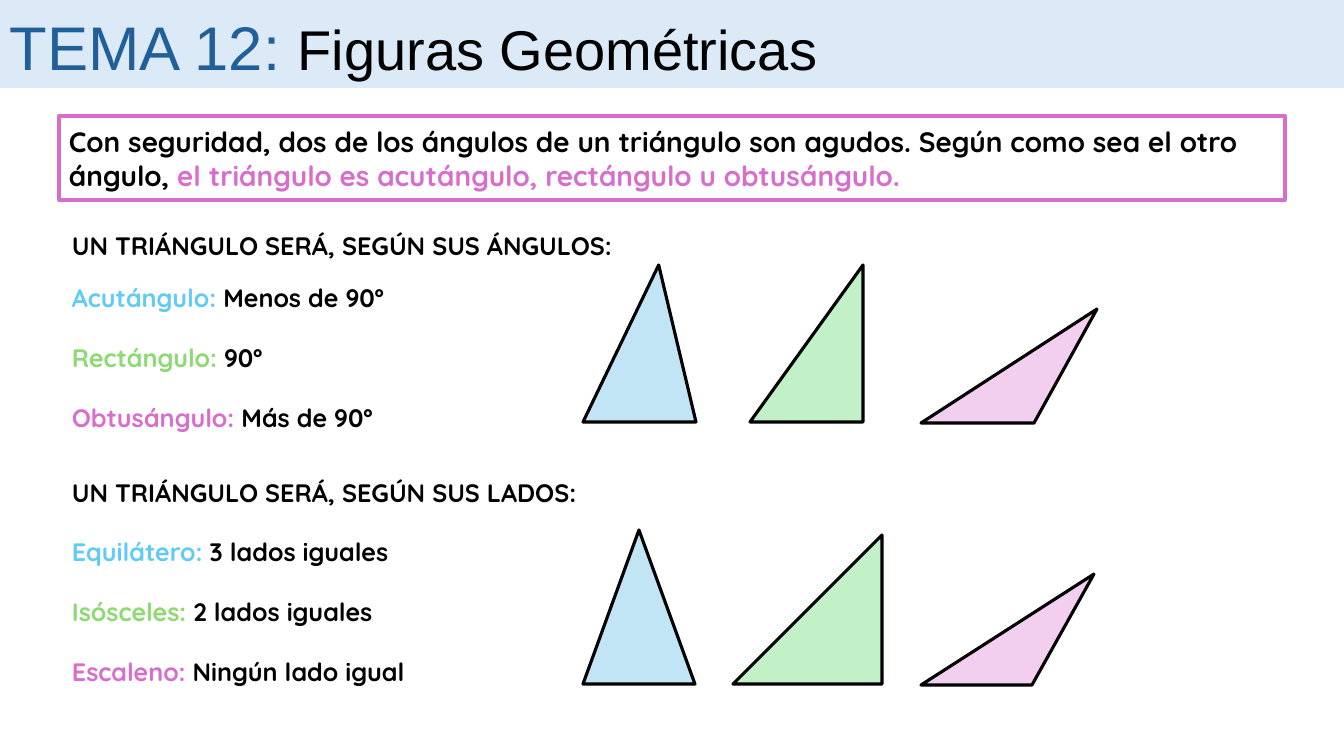
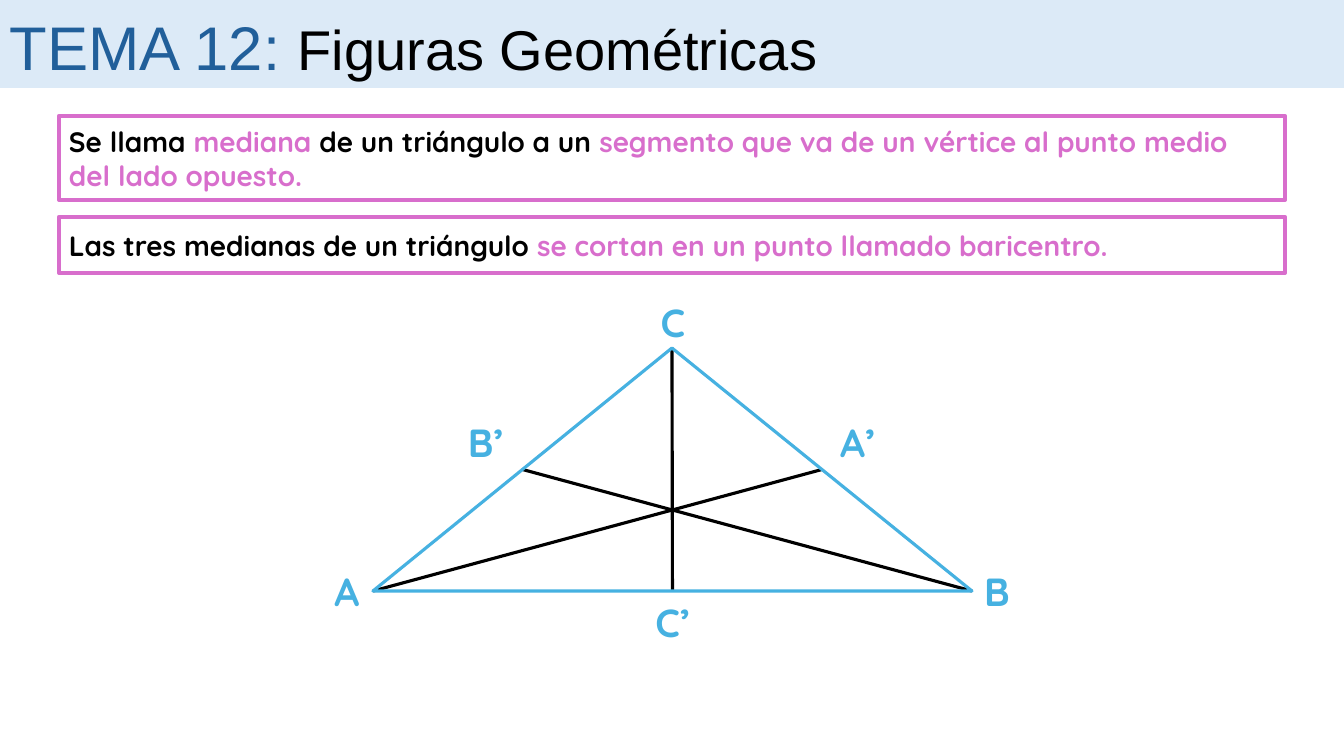
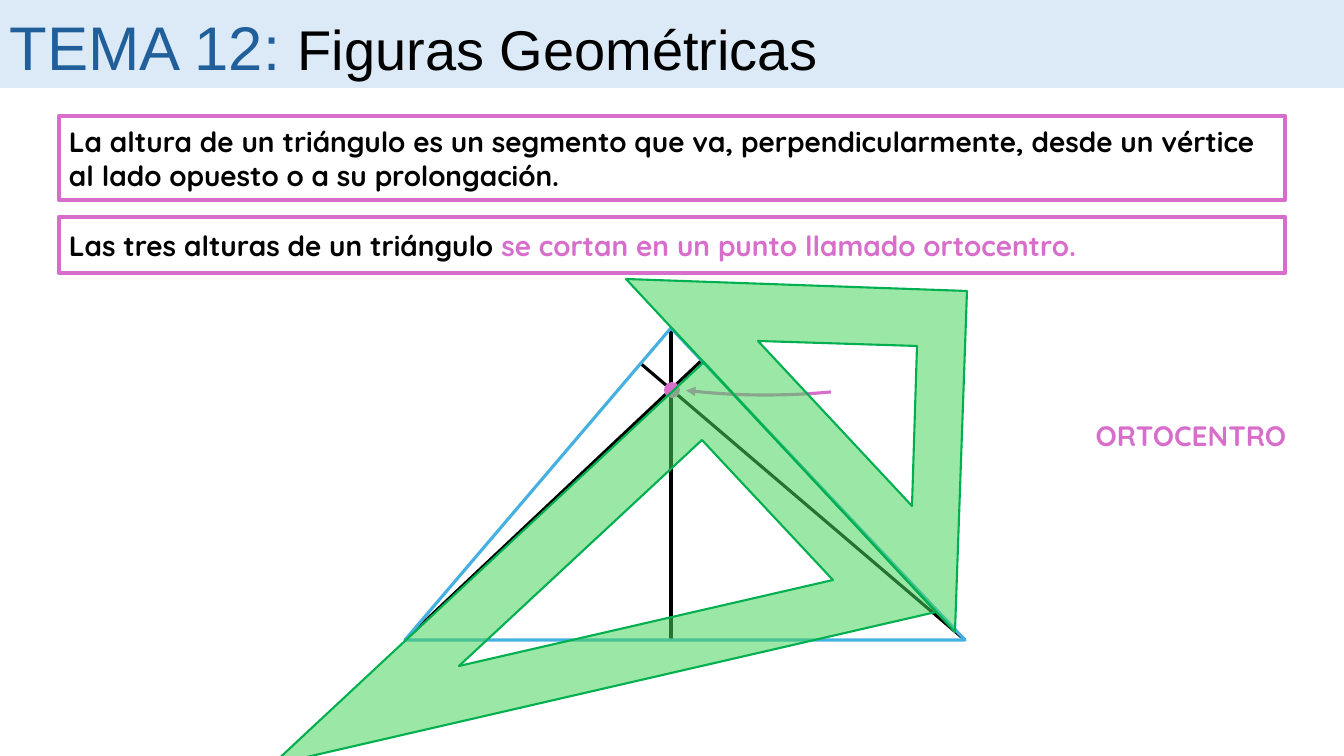
from lxml import etree
from pptx import Presentation
from pptx.dml.color import RGBColor
from pptx.enum.shapes import MSO_CONNECTOR, MSO_SHAPE
from pptx.enum.text import MSO_ANCHOR, PP_ALIGN
from pptx.oxml.ns import qn
from pptx.util import Pt

STRAIGHT = MSO_CONNECTOR.STRAIGHT
RECTANGLE, TRIANGLE = MSO_SHAPE.RECTANGLE, MSO_SHAPE.ISOSCELES_TRIANGLE
ARC, OVAL = MSO_SHAPE.ARC, MSO_SHAPE.OVAL
TOP, MIDDLE = MSO_ANCHOR.TOP, MSO_ANCHOR.MIDDLE
LEFT, CENTER = PP_ALIGN.LEFT, PP_ALIGN.CENTER

SLIDE_WIDTH, SLIDE_HEIGHT = 1344, 756
SCALE = 12192000 / SLIDE_WIDTH
BODY_FONT, TITLE_FONT = "Quicksand", "Arial"
OUTLINE = 2.25

COLORS = {
    "band": "DCEAF7", "title": "215F9A", "black": "000000",
    "pink": "D86ECC", "sky": "61CBF4", "lime": "8ED973", "blue": "46B1E1",
    "pale blue": "C1E5F5", "pale green": "C2F1C8", "pale pink": "F2CFEE",
    "square": "47D45A", "square edge": "00B050",
}

TITLE = [("TEMA 12: ", "title", 44), ("Figuras Geométricas", "black", 40)]
TWO_LINE_BOX = (59, 116, 1226, 84)
ONE_LINE_BOX = (59, 217, 1226, 56)

ANGLES_INTRO = [
    ("Con seguridad, dos de los ángulos de un triángulo son agudos. "
     "Según como sea el otro ángulo, ", "black"),
    ("el triángulo es acutángulo, rectángulo u obtusángulo.", "pink"),
]
CLASSIFICATIONS = [
    {
        "heading": "UN TRIÁNGULO SERÁ, SEGÚN SUS ÁNGULOS:",
        "heading top": 225,
        "rows top": 277,
        "rows": [("Acutángulo: ", "sky", "Menos de 90º"),
                 ("Rectángulo: ", "lime", "90º"),
                 ("Obtusángulo: ", "pink", "Más de 90º")],
        "triangles": [((583, 265, 113, 157), 0.67, "pale blue"),
                      ((750, 265, 113, 157), 1, "pale green")],
        "obtuse": [(921, 423), (1097, 309), (1034, 423)],
    },
    {
        "heading": "UN TRIÁNGULO SERÁ, SEGÚN SUS LADOS:",
        "heading top": 472,
        "rows top": 531,
        "rows": [("Equilátero: ", "sky", "3 lados iguales"),
                 ("Isósceles: ", "lime", "2 lados iguales"),
                 ("Escaleno: ", "pink", "Ningún lado igual")],
        "triangles": [((583, 530, 112, 154), 0.5, "pale blue"),
                      ((733, 535, 149, 149), 1, "pale green")],
        "obtuse": [(921, 685), (1094, 574), (1032, 685)],
    },
]
ROW_STEP = 60

MEDIAN = [
    ("Se llama ", "black"), ("mediana", "pink"),
    (" de un triángulo a un ", "black"),
    ("segmento que va de un vértice al punto medio del lado opuesto.", "pink"),
]
CENTROID = [
    ("Las tres medianas de un triángulo ", "black"),
    ("se cortan en un punto llamado baricentro.", "pink"),
]
MEDIAN_CORNERS = [(373, 591), (972, 591), (672, 348)]
LABEL_CENTERS = {
    "A": (347, 591), "B": (997, 591), "C": (673, 322),
    "B’": (486, 442), "A’": (858, 442), "C’": (673, 622),
}
LABEL_SIZE = (72, 57)

ALTITUDE = [
    ("La altura de un triángulo es un segmento que va, perpendicularmente, "
     "desde un vértice al lado opuesto o a su prolongación.", "black"),
]
ORTHOCENTER = [
    ("Las tres alturas de un triángulo ", "black"),
    ("se cortan en un punto llamado ortocentro.", "pink"),
]
ALTITUDE_CORNERS = [(405, 640), (965, 640), (671, 328)]
ORTHOCENTER_DOT = (664, 382, 16, 16)
ORTHOCENTER_LABEL = (1064, 414, 254, 44)
ARROW_CIRCLE = (76, -985, 1380, 1380)
ARROW_DEGREES = (84.6, 96.65)
ARC_UNITS_PER_DEGREE = 0.6
SET_SQUARES = [
    ([(936, 612), (272, 765), (704, 362)],
     [(833, 580), (702, 440), (459, 666)]),
    ([(626, 279), (955, 632), (967, 291)],
     [(758, 341), (917, 346), (912, 506)]),
]
SET_SQUARE_ALPHA = 54


def emu(*lengths):
    return [round(length * SCALE) for length in lengths]


def color(name):
    return RGBColor.from_string(COLORS[name])


def style(shape, fill=None, line=None, width=OUTLINE):
    shape.shadow.inherit = False
    if fill:
        shape.fill.solid()
        shape.fill.fore_color.rgb = color(fill)
    else:
        shape.fill.background()
    if line:
        shape.line.color.rgb = color(line)
        shape.line.width = Pt(width)
    else:
        shape.line.fill.background()
    return shape


def add_preset(page, kind, place, **look):
    return style(page.shapes.add_shape(kind, *emu(*place)), **look)


def add_triangle(page, place, apex, **look):
    triangle = add_preset(page, TRIANGLE, place, **look)
    triangle.adjustments[0] = apex


def add_outline(page, contours, **look):
    builder = page.shapes.build_freeform(*contours[0][0], scale=SCALE)
    for index, contour in enumerate(contours):
        if index:
            builder.move_to(*contour[0])
        builder.add_line_segments(contour[1:], close=True)
    return style(builder.convert_to_shape(), **look)


def add_line(page, start, end):
    line = page.shapes.add_connector(STRAIGHT, *emu(*start, *end))
    line.line.color.rgb = color("black")
    line.line.width = Pt(OUTLINE)
    etree.SubElement(line._element.spPr, qn("a:effectLst"))


def write(shape, spans, size, align=LEFT, anchor=TOP):
    frame = shape.text_frame
    frame.word_wrap = True
    frame.vertical_anchor = anchor
    para = frame.paragraphs[0]
    para.alignment = align
    para.font.name = BODY_FONT
    para.font.size = Pt(size)
    para.font.bold = True
    for text, shade in spans:
        span = para.add_run()
        span.text = text
        span.font.color.rgb = color(shade)


def add_text(page, place, spans, size, align=LEFT):
    write(page.shapes.add_textbox(*emu(*place)), spans, size, align)


def add_definition(page, place, spans):
    box = add_preset(page, RECTANGLE, place, line="pink", width=3)
    write(box, spans, 20, anchor=MIDDLE)


def add_page(deck):
    page = deck.slides.add_slide(deck.slide_layouts[6])
    add_preset(page, RECTANGLE, (0, 0, SLIDE_WIDTH, 88), fill="band")
    box = page.shapes.add_textbox(*emu(0, 4, 1194, 85))
    box.text_frame.word_wrap = True
    para = box.text_frame.paragraphs[0]
    para.font.name = TITLE_FONT
    for text, shade, size in TITLE:
        span = para.add_run()
        span.text = text
        span.font.size = Pt(size)
        span.font.color.rgb = color(shade)
    return page


def add_corner_triangle(page, corners):
    (left, base), (right, _), (apex, top) = corners
    width = right - left
    add_triangle(page, (left, top, width, base - top),
                 (apex - left) / width, line="blue")


def midpoint(corner, start, end):
    return (start[0] + end[0]) / 2, (start[1] + end[1]) / 2


def altitude_foot(corner, start, end):
    run, rise = end[0] - start[0], end[1] - start[1]
    along = (corner[0] - start[0]) * run + (corner[1] - start[1]) * rise
    share = along / (run ** 2 + rise ** 2)
    return start[0] + share * run, start[1] + share * rise


def add_cevians(page, corners, find_foot):
    for index, corner in enumerate(corners):
        start, end = corners[index - 2], corners[index - 1]
        add_line(page, corner, find_foot(corner, start, end))
    add_corner_triangle(page, corners)


def build_classification(deck):
    page = add_page(deck)
    add_definition(page, TWO_LINE_BOX, ANGLES_INTRO)
    for group in CLASSIFICATIONS:
        add_text(page, (62, group["heading top"], 631, 40),
                 [(group["heading"], "black")], 18)
        for index, (name, shade, meaning) in enumerate(group["rows"]):
            top = group["rows top"] + index * ROW_STEP
            add_text(page, (62, top, 422, 40),
                     [(name, shade), (meaning, "black")], 18)
        for place, apex, fill in group["triangles"]:
            add_triangle(page, place, apex, fill=fill, line="black")
        add_outline(page, [group["obtuse"]], fill="pale pink", line="black")


def build_medians(deck):
    page = add_page(deck)
    add_definition(page, TWO_LINE_BOX, MEDIAN)
    add_definition(page, ONE_LINE_BOX, CENTROID)
    add_cevians(page, MEDIAN_CORNERS, midpoint)
    width, height = LABEL_SIZE
    for letter, (x, y) in LABEL_CENTERS.items():
        add_text(page, (x - width / 2, y - height / 2, width, height),
                 [(letter, "blue")], 28, CENTER)


def build_altitudes(deck):
    page = add_page(deck)
    add_definition(page, TWO_LINE_BOX, ALTITUDE)
    add_definition(page, ONE_LINE_BOX, ORTHOCENTER)
    add_cevians(page, ALTITUDE_CORNERS, altitude_foot)
    arrow = add_preset(page, ARC, ARROW_CIRCLE, line="pink")
    for index, degrees in enumerate(ARROW_DEGREES):
        arrow.adjustments[index] = degrees * ARC_UNITS_PER_DEGREE
    line = arrow._element.spPr.find(qn("a:ln"))
    etree.SubElement(line, qn("a:tailEnd"), type="triangle")
    add_text(page, ORTHOCENTER_LABEL, [("ORTOCENTRO", "pink")], 20, CENTER)
    add_preset(page, OVAL, ORTHOCENTER_DOT, fill="pink")
    for contours in SET_SQUARES:
        square = add_outline(page, contours, fill="square",
                             line="square edge", width=1.5)
        shade = square._element.spPr.find(qn("a:solidFill"))[0]
        etree.SubElement(shade, qn("a:alpha"), val=str(SET_SQUARE_ALPHA * 1000))


def main():
    deck = Presentation()
    deck.slide_width, deck.slide_height = emu(SLIDE_WIDTH, SLIDE_HEIGHT)
    build_classification(deck)
    build_medians(deck)
    build_altitudes(deck)
    deck.save("out.pptx")


if __name__ == "__main__":
    main()
